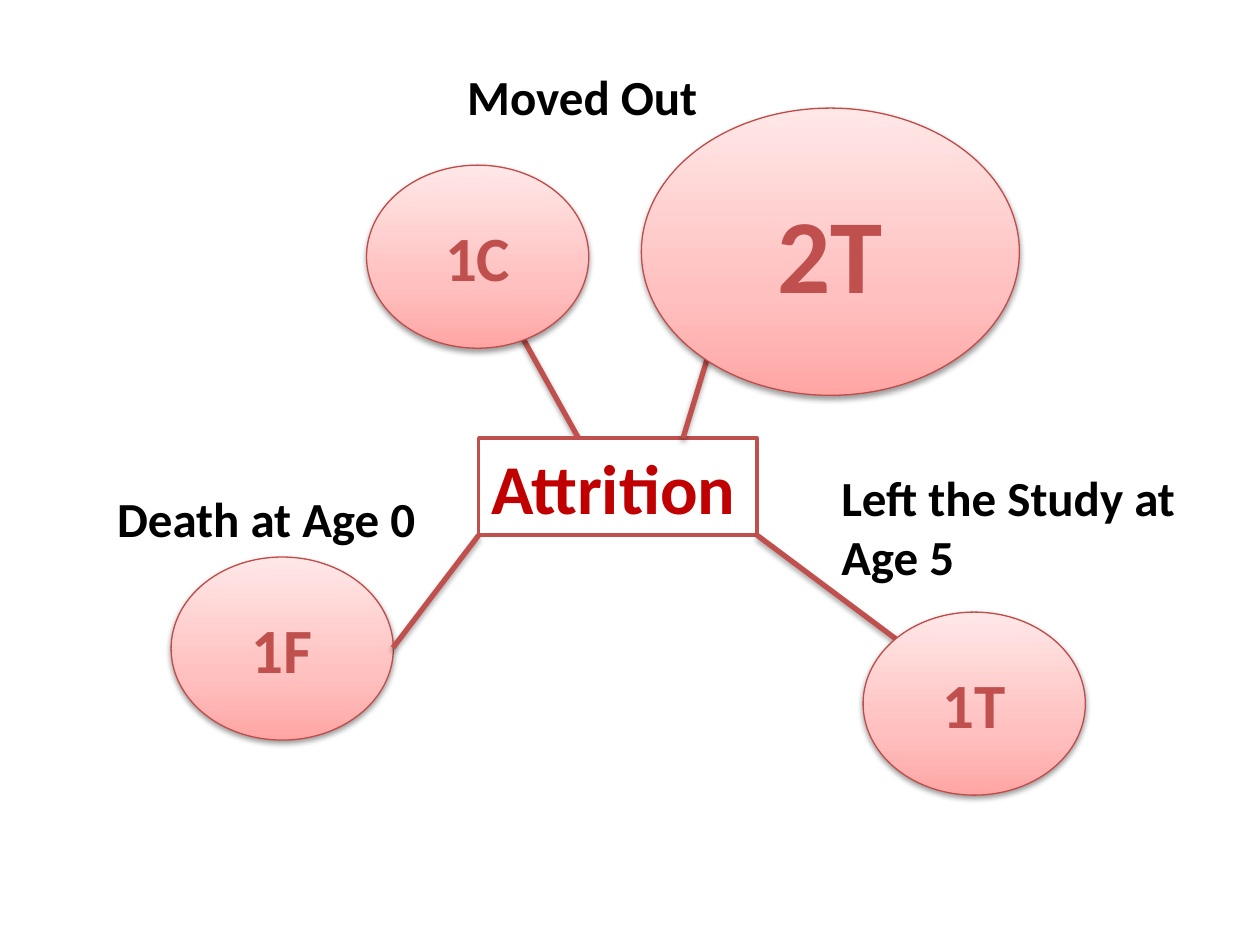
from copy import deepcopy
from pptx import Presentation
from pptx.dml.color import RGBColor
from pptx.enum.shapes import MSO_CONNECTOR as Link, MSO_SHAPE as Form
from pptx.enum.text import MSO_ANCHOR as Anchor, MSO_AUTO_SIZE as Fit, PP_ALIGN as Align
from pptx.oxml import parse_xml
from pptx.oxml.ns import nsdecls, qn
from pptx.util import Cm, Pt

RED = "C0504D"
STOPS = [(0, "FFA6A5"), (0.35, "FFC0BF"), (1, "FFE7E7")]


def color(code):
    return RGBColor.from_string(code)


def box(*sizes):
    return [Cm(size) for size in sizes]


def write(shape, text, size, code, align=Align.LEFT, anchor=Anchor.TOP):
    frame = shape.text_frame
    frame.vertical_anchor = anchor
    para = frame.paragraphs[0]
    para.alignment = align
    run = para.add_run()
    run.text = text
    font = run.font
    font.name, font.size, font.bold = "Calibri", Pt(size), True
    font.color.rgb = color(code)


def shade(effects, dist, alpha):
    """Add a soft black shadow that falls straight down."""
    effects.append(parse_xml(
        f'<a:outerShdw {nsdecls("a")} blurRad="{Pt(3.15)}" dist="{Pt(dist)}" '
        f'dir="5400000" rotWithShape="0"><a:srgbClr val="000000">'
        f'<a:alpha val="{alpha * 1000}"/></a:srgbClr></a:outerShdw>'))


def label(slide, text, place, wrap=False):
    shape = slide.shapes.add_textbox(*box(*place))
    shape.text_frame.word_wrap = wrap
    shape.text_frame.auto_size = Fit.SHAPE_TO_FIT_TEXT
    write(shape, text, 28, "000000")


def bubble(slide, text, left, top, width=4.48, height=3.69, size=36):
    shape = slide.shapes.add_shape(Form.OVAL, *box(left, top, width, height))
    fill = shape.fill
    fill.gradient()
    fill.gradient_angle = 90
    props = shape._element.spPr
    stops = props.find(".//" + qn("a:gsLst"))
    stops.append(deepcopy(stops[0]))
    for stop, (pos, code) in zip(fill.gradient_stops, STOPS):
        stop.position = pos
        stop.color.rgb = color(code)
    shape.line.color.rgb = color("BF4C48")
    shape.line.width = Pt(0.75)
    shape.shadow.inherit = False
    shade(props.find(qn("a:effectLst")), 1.57, 38)
    write(shape, text, size, RED, Align.CENTER, Anchor.MIDDLE)


def spoke(slide, *ends):
    line = slide.shapes.add_connector(Link.STRAIGHT, *box(*ends))
    line.line.color.rgb = color(RED)
    line.line.width = Pt(3)
    effects = parse_xml(f'<a:effectLst {nsdecls("a")}/>')
    line._element.spPr.append(effects)
    shade(effects, 1.81, 35)


def center(slide, text, place):
    shape = slide.shapes.add_shape(Form.RECTANGLE, *box(*place))
    shape.shadow.inherit = False
    shape.fill.solid()
    shape.fill.fore_color.rgb = color("FFFFFF")
    shape.line.color.rgb = color(RED)
    shape.line.width = Pt(2)
    shape.text_frame.word_wrap = True
    shape.text_frame.auto_size = Fit.SHAPE_TO_FIT_TEXT
    write(shape, text, 40, "C00000")


def main():
    deck = Presentation()
    deck.slide_width, deck.slide_height = box(25.4, 19.05)
    slide = deck.slides.add_slide(deck.slide_layouts[6])

    # Reasons for leaving
    label(slide, "Left the Study at Age 5", (16.71, 9.3, 8.69, 2.64), wrap=True)
    label(slide, "Death at Age 0", (2.11, 9.73, 6.6, 1.45))
    label(slide, "Moved Out", (9.17, 1.22, 5.21, 1.45))

    # Center box with its spokes
    left, top, width, height = 9.65, 8.83, 5.61, 1.96
    right, base = left + width, top + height
    bubble(slide, "1F", 3.45, 11.23)
    spoke(slide, 10.39, 6.55, 11.66, top)
    spoke(slide, left, base, 7.92, 13.06)
    center(slide, "Attrition", (left, top, width, height))
    spoke(slide, 14.33, 6.99, 13.77, top)
    spoke(slide, 18.06, 12.88, right, base)

    # Counts in front of the spokes
    bubble(slide, "1T", 17.4, 12.34)
    bubble(slide, "1C", 7.39, 3.33)
    bubble(slide, "2T", 12.93, 2.18, 7.62, 5.79, 60)

    deck.save("out.pptx")


if __name__ == "__main__":
    main()
